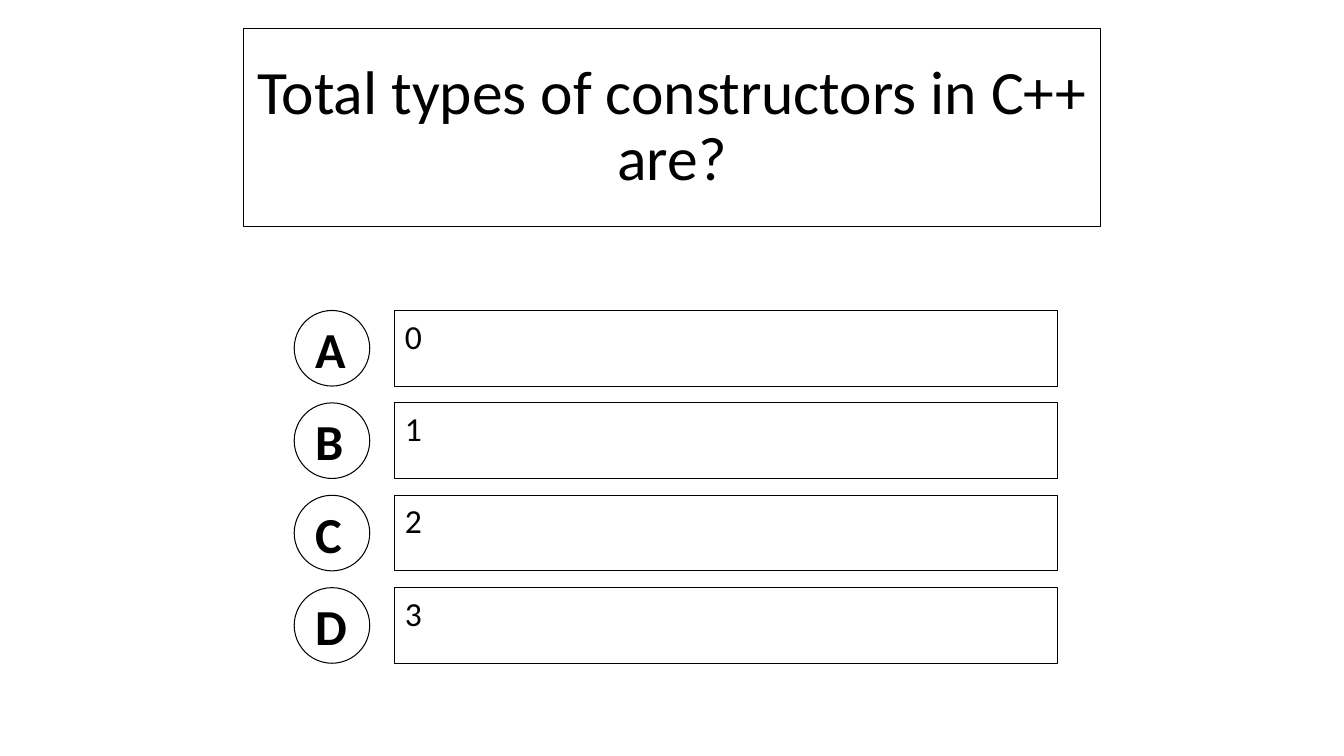
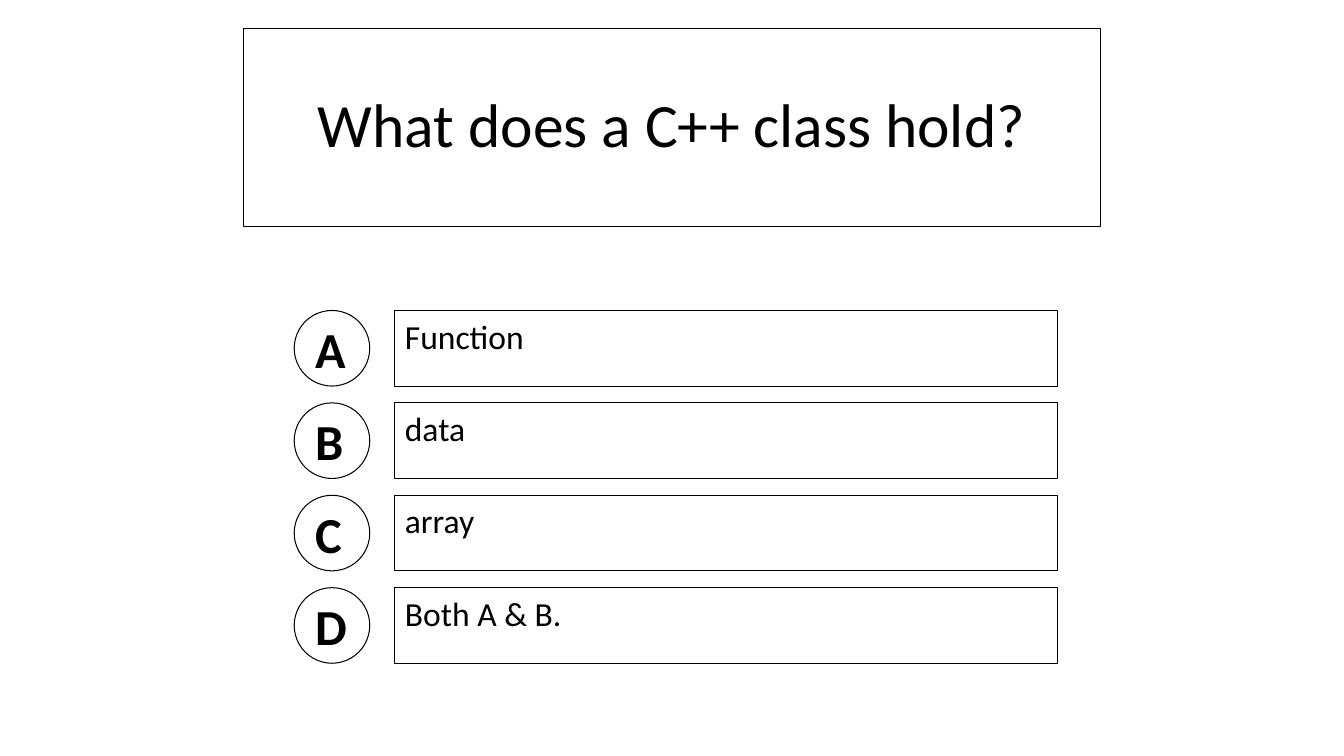
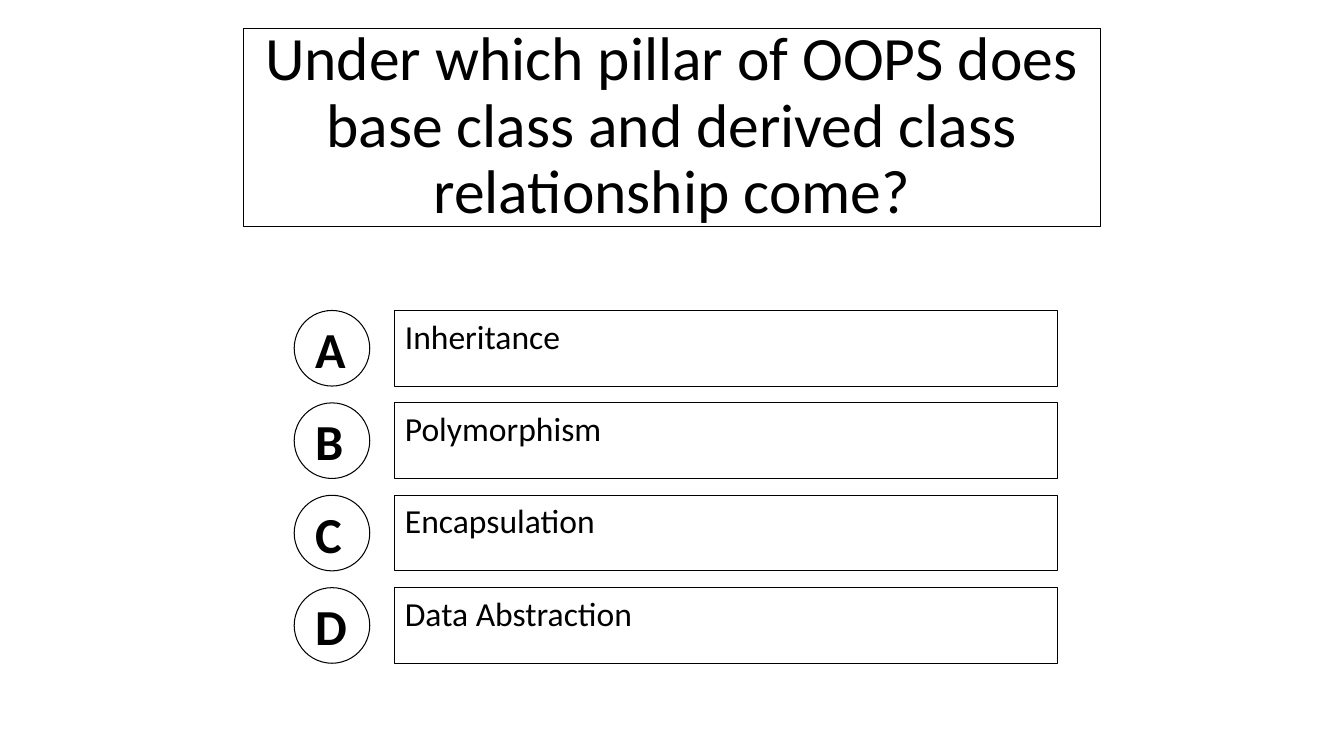
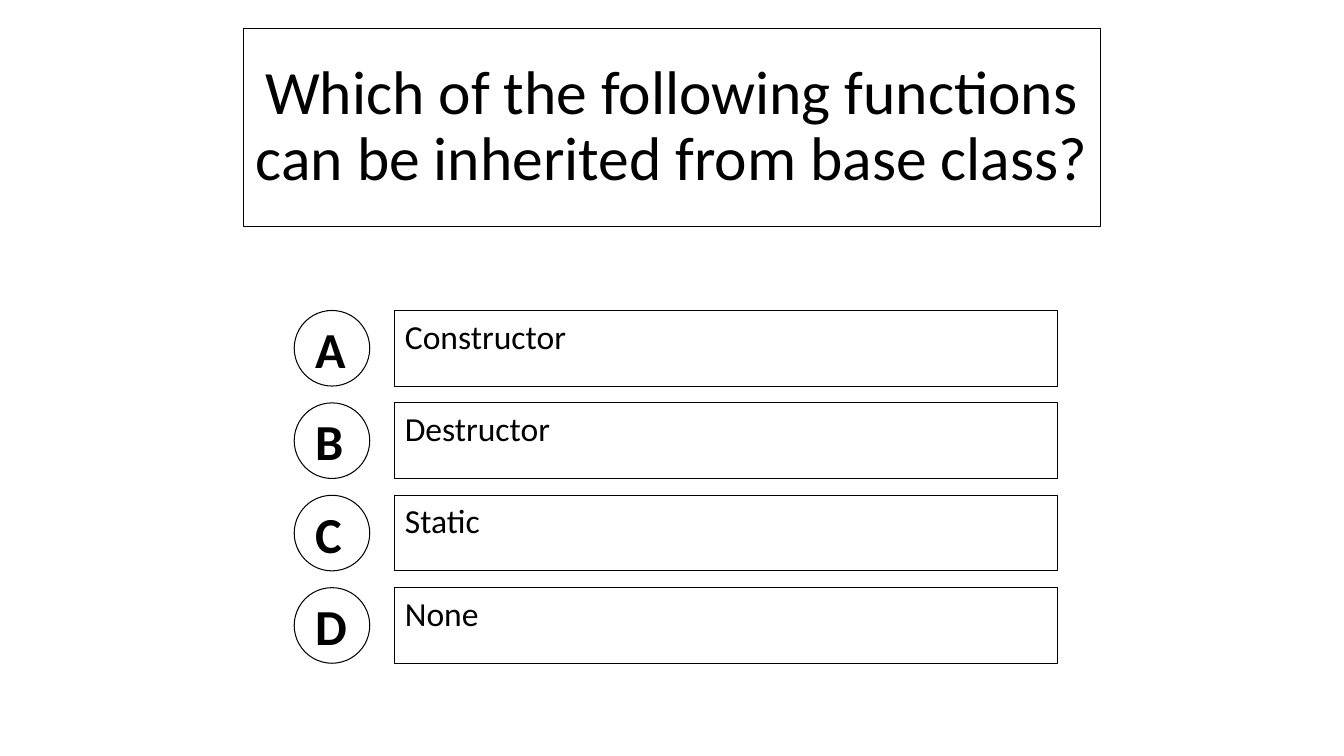
from pptx import Presentation
from pptx.dml.color import RGBColor
from pptx.enum.shapes import MSO_SHAPE
from pptx.enum.text import MSO_ANCHOR, MSO_AUTO_SIZE, PP_ALIGN
from pptx.util import Inches, Pt

OVAL, RECT = MSO_SHAPE.OVAL, MSO_SHAPE.RECTANGLE
TOP, MIDDLE = MSO_ANCHOR.TOP, MSO_ANCHOR.MIDDLE
LEFT, CENTER = PP_ALIGN.LEFT, PP_ALIGN.CENTER
NO_AUTOFIT = MSO_AUTO_SIZE.NONE
TITLE_ONLY = 5

INK, PAPER = "000000", "FFFFFF"
FONT = "Calibri"
TITLE_BOX = (2.42, 0.28, 8.5, 1.97)
ANSWERS_BOX = (2.92, 3.08, 7.58, 3.5)
ROW_HEIGHT = 0.75
LETTER_GAP = 0.25

QUESTIONS = [
    ("Total types of constructors in C++ are?", ["0", "1", "2", "3"]),
    ("What does a C++ class hold?",
     ["Function", "data", "array", "Both A & B."]),
    ("Under which pillar of OOPS does base class and derived class "
     "relationship come?",
     ["Inheritance", "Polymorphism", "Encapsulation", "Data Abstraction"]),
    ("Which of the following functions can be inherited from base class?",
     ["Constructor", "Destructor", "Static", "None"]),
]


def rgb(value):
    return RGBColor.from_string(value)


def outline(sp):
    sp.line.color.rgb = rgb(INK)
    sp.line.width = Pt(0.75)


def set_text(sp, text, size, align=LEFT, anchor=TOP, bold=False, wrap=False):
    tf = sp.text_frame
    tf.text = text
    tf.word_wrap = wrap
    tf.auto_size = NO_AUTOFIT
    tf.vertical_anchor = anchor
    p = tf.paragraphs[0]
    p.alignment = align
    font = p.runs[0].font
    font.name, font.size, font.bold = FONT, Pt(size), bold
    font.color.rgb = rgb(INK)


def add_outlined(slide, kind, box, fill=None):
    sp = slide.shapes.add_shape(kind, *map(Inches, box))
    sp.shadow.inherit = False
    if fill:
        sp.fill.solid()
        sp.fill.fore_color.rgb = rgb(fill)
    else:
        sp.fill.background()
    outline(sp)
    return sp


def place_title(slide, text, box):
    title = slide.shapes.title
    title.left, title.top, title.width, title.height = map(Inches, box)
    outline(title)
    set_text(title, text, 44, CENTER, MIDDLE, wrap=True)
    title.text_frame.paragraphs[0].line_spacing = 0.9


def add_answers(slide, answers, box):
    """Stack lettered answer rows evenly over the height of the box."""
    left, top, width, height = box
    pitch = (height - ROW_HEIGHT) / (len(answers) - 1)
    indent = ROW_HEIGHT + LETTER_GAP
    for i, (letter, answer) in enumerate(zip("ABCD", answers)):
        y = top + i * pitch
        circle = add_outlined(slide, OVAL, (left, y, ROW_HEIGHT, ROW_HEIGHT))
        set_text(circle, letter, 36, anchor=MIDDLE, bold=True)
        bar = add_outlined(
            slide, RECT, (left + indent, y, width - indent, ROW_HEIGHT), PAPER)
        set_text(bar, answer, 24)


def add_question_slide(prs, question, answers):
    slide = prs.slides.add_slide(prs.slide_layouts[TITLE_ONLY])
    place_title(slide, question, TITLE_BOX)
    add_answers(slide, answers, ANSWERS_BOX)


def main():
    prs = Presentation()
    prs.slide_width, prs.slide_height = Inches(13.34), Inches(7.5)
    for question, answers in QUESTIONS:
        add_question_slide(prs, question, answers)
    prs.save("out.pptx")


if __name__ == "__main__":
    main()
